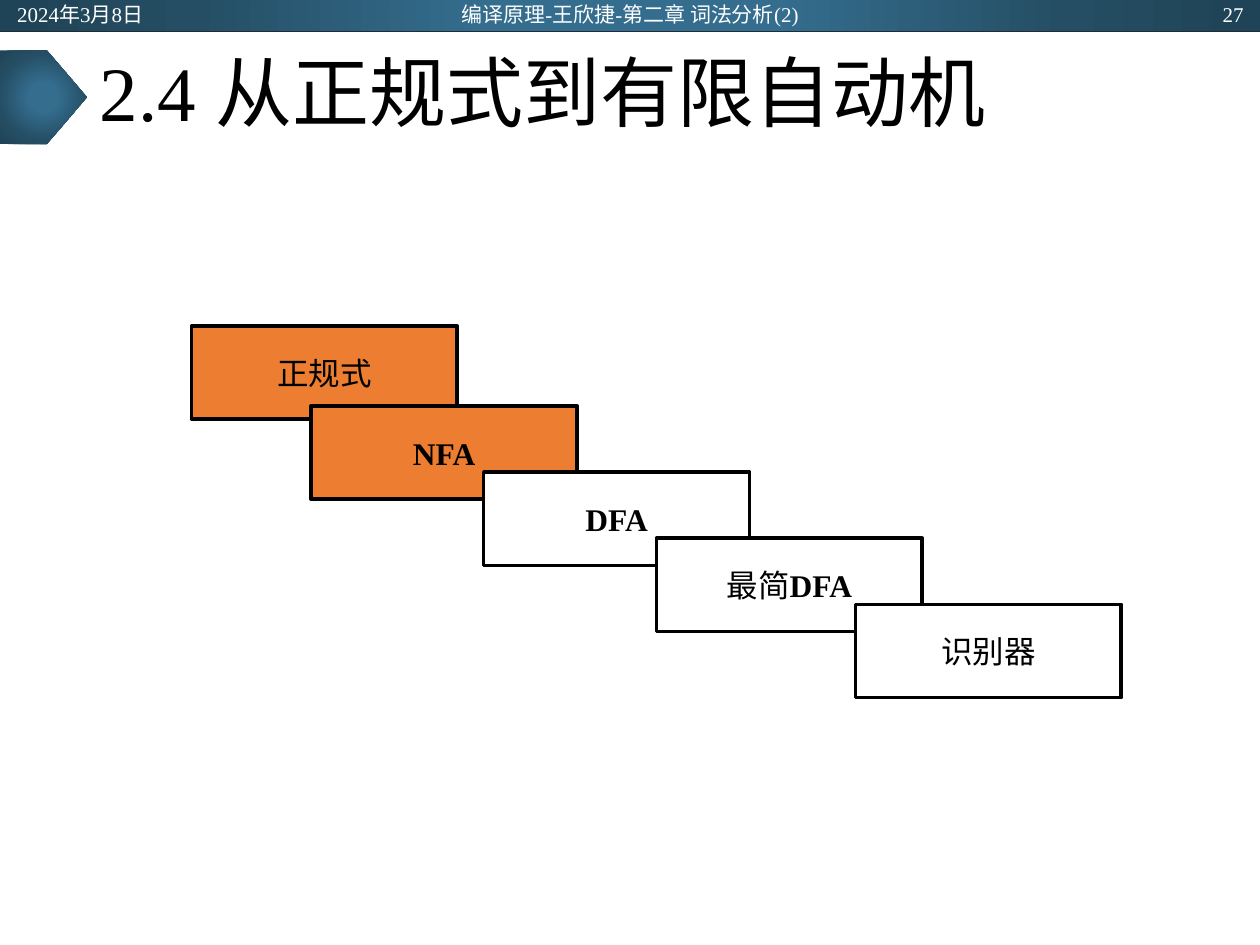
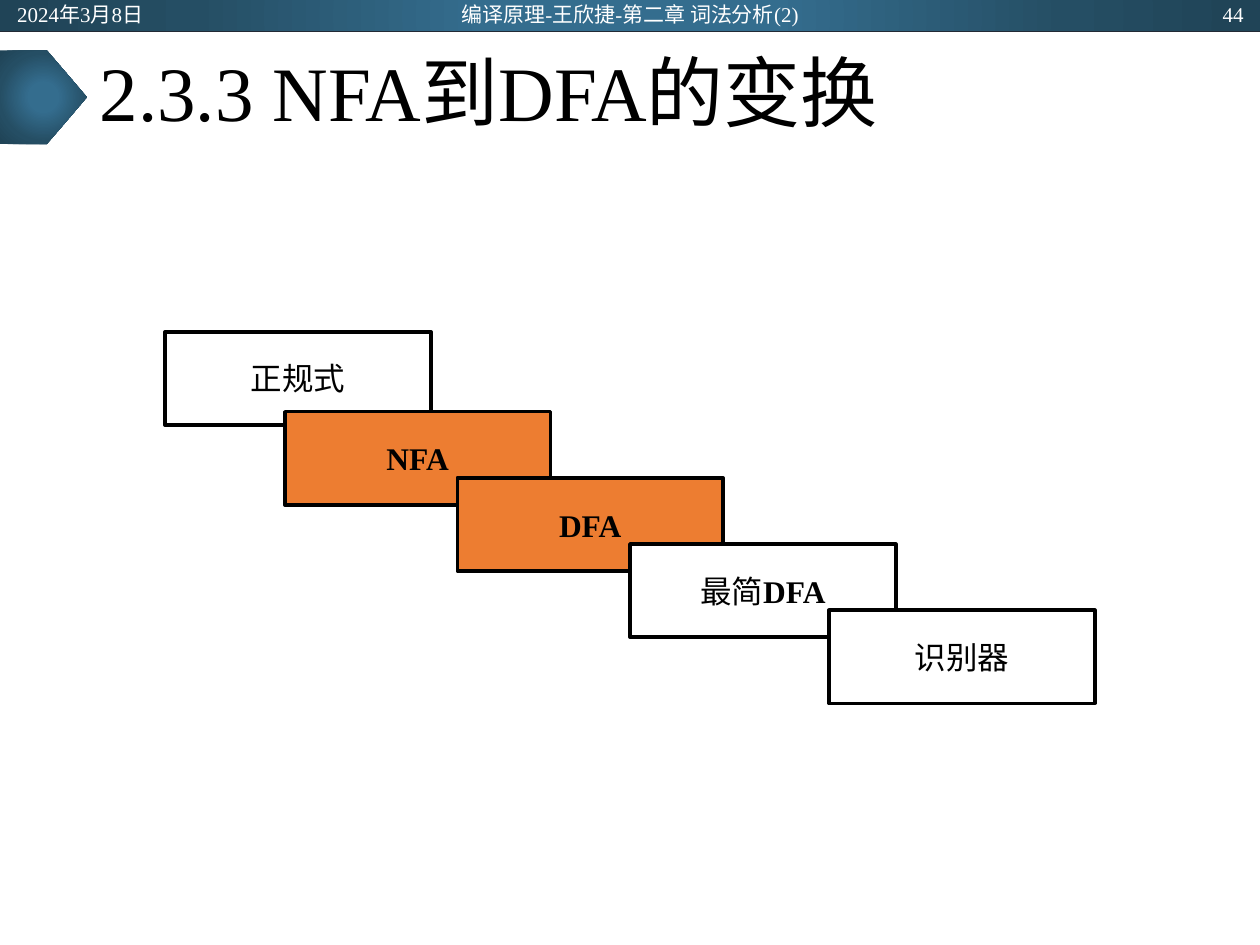
from lxml import etree
from pptx import Presentation
from pptx.dml.color import RGBColor
from pptx.enum.shapes import MSO_CONNECTOR, MSO_SHAPE
from pptx.enum.text import MSO_ANCHOR, MSO_AUTO_SIZE, PP_ALIGN
from pptx.oxml import parse_xml
from pptx.oxml.ns import nsdecls, qn
from pptx.util import Pt

RECTANGLE, PENTAGON = MSO_SHAPE.RECTANGLE, MSO_SHAPE.PENTAGON
STRAIGHT = MSO_CONNECTOR.STRAIGHT
MIDDLE = MSO_ANCHOR.MIDDLE
NO_AUTOFIT = MSO_AUTO_SIZE.NONE
LEFT, CENTER, RIGHT = PP_ALIGN.LEFT, PP_ALIGN.CENTER, PP_ALIGN.RIGHT

FONT = "Times New Roman"
BLACK = RGBColor(0x00, 0x00, 0x00)
WHITE = RGBColor(0xFF, 0xFF, 0xFF)
ORANGE = RGBColor(0xED, 0x7D, 0x31)
BAND_EDGE = RGBColor(0x22, 0x2A, 0x35)
BAND_STOPS = [
    (0, RGBColor(0x34, 0x6D, 0x8E)),
    (23, RGBColor(0x34, 0x6D, 0x8E)),
    (69, RGBColor(0x25, 0x4E, 0x64)),
    (97, RGBColor(0x20, 0x44, 0x57)),
]

SLIDE_WIDTH, SLIDE_HEIGHT = 720, 540
BAND_HEIGHT = 18
STAGE_WIDTH, STAGE_HEIGHT = 151.9, 53.3

# Each stage: offset from the first stage, then its (text, bold) runs
STAGES = [
    (0, 0, [("正规式", False)]),
    (68.4, 45.7, [("NFA", True)]),
    (167, 83.5, [("DFA", True)]),
    (265.7, 121.3, [("最简", False), ("DFA", True)]),
    (379.4, 159.1, [("识别器", False)]),
]
# Each slide: title, page number, left and top of the first stage, stage fills
SLIDES = [
    ("2.4 从正规式到有限自动机", "27", 109.4, 186.3,
     [ORANGE, ORANGE, WHITE, WHITE, WHITE]),
    ("2.3.3 NFA到DFA的变换", "44", 94.3, 189.6,
     [None, ORANGE, ORANGE, WHITE, WHITE]),
]


def write(frame, runs, align, size, color, **frame_format):
    """Fill a text frame with one paragraph of (text, bold) runs."""
    for attribute, value in {"vertical_anchor": MIDDLE, **frame_format}.items():
        setattr(frame, attribute, value)
    paragraph = frame.paragraphs[0]
    paragraph.alignment = align
    for text, bold in runs:
        run = paragraph.add_run()
        run.text = text
        run.font.color.rgb = color
        for attribute, value in {"name": FONT, "size": Pt(size), "bold": bold}.items():
            setattr(run.font, attribute, value)
    return paragraph


presentation = Presentation()
presentation.slide_width = Pt(SLIDE_WIDTH)
presentation.slide_height = Pt(SLIDE_HEIGHT)
layout = presentation.slide_layouts.get_by_name("Title Only")
slides = [presentation.slides.add_slide(layout) for _ in SLIDES]

# Header band and title marker, moved from the first slide to the shared layout
canvas = slides[0].shapes
band = canvas.add_shape(RECTANGLE, 0, 0, Pt(SLIDE_WIDTH), Pt(BAND_HEIGHT))
marker = canvas.add_shape(PENTAGON, 0, Pt(28.8), Pt(49.7), Pt(53.5))
marker.adjustments[0] = 0.46
stops = "".join(
    f'<a:gs pos="{position * 1000}"><a:srgbClr val="{color}"/></a:gs>'
    for position, color in BAND_STOPS
)
for part in (band, marker):
    part.shadow.inherit = False
    part.line.fill.background()
    part.element.spPr.insert(2, parse_xml(
        f'<a:gradFill {nsdecls("a")}><a:gsLst>{stops}</a:gsLst><a:path path="circle">'
        '<a:fillToRect l="50000" t="50000" r="50000" b="50000"/></a:path></a:gradFill>'
    ))
edge = canvas.add_connector(STRAIGHT, 0, Pt(BAND_HEIGHT), Pt(SLIDE_WIDTH), Pt(BAND_HEIGHT))
edge.line.color.rgb = BAND_EDGE
edge.line.width = Pt(0.5)
etree.SubElement(edge.element.spPr, qn("a:effectLst"))
for part in (band, edge, marker):
    layout.shapes.element.append(part.element)

for slide, (heading, page, left, top, fills) in zip(slides, SLIDES):
    title = slide.shapes.title
    title.left, title.top, title.width, title.height = Pt(49.7), Pt(18), Pt(620.6), Pt(74.9)
    title_line = write(title.text_frame, [(heading, False)], LEFT, 44, BLACK,
                       auto_size=NO_AUTOFIT)
    title_line.line_spacing = 0.9

    diagram = slide.shapes.add_group_shape()
    for (dx, dy, label), fill in zip(STAGES, fills):
        stage = diagram.shapes.add_shape(RECTANGLE, Pt(left + dx), Pt(top + dy),
                                         Pt(STAGE_WIDTH), Pt(STAGE_HEIGHT))
        stage.shadow.inherit = False
        if fill is None:
            stage.fill.background()
        else:
            stage.fill.solid()
            stage.fill.fore_color.rgb = fill
        stage.line.color.rgb = BLACK
        stage.line.width = Pt(2)
        write(stage.text_frame, label, CENTER, 18, BLACK, word_wrap=False,
              margin_left=Pt(2.9), margin_right=Pt(2.9),
              margin_top=Pt(1.4), margin_bottom=Pt(1.4))

    for text, x, width, align in [
        ("2024年3月8日", 2.7, 162, LEFT),
        ("编译原理-王欣捷-第二章 词法分析(2)", 238.5, 243, CENTER),
        (page, 555.7, 162, RIGHT),
    ]:
        caption = slide.shapes.add_textbox(Pt(x), Pt(0.9), Pt(width), Pt(14.4))
        write(caption.text_frame, [(text, False)], align, 12, WHITE, word_wrap=True)

presentation.save("out.pptx")
